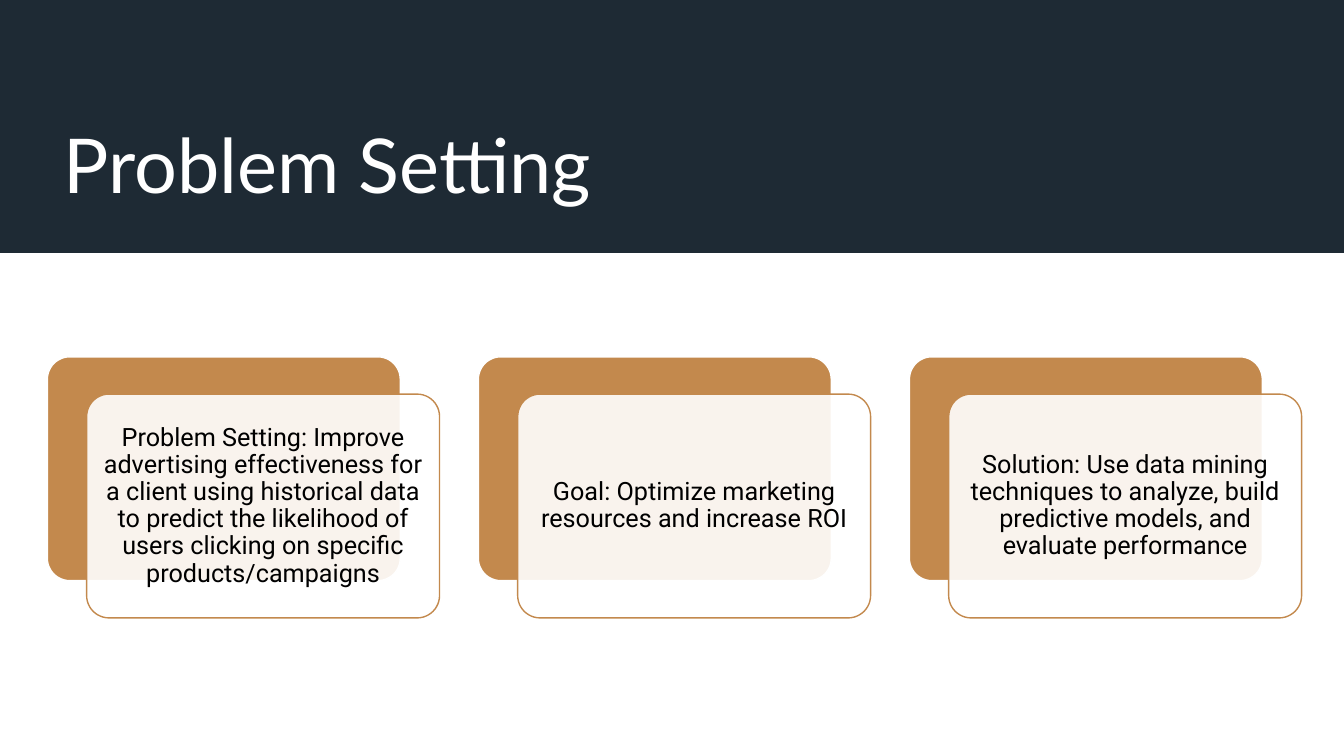
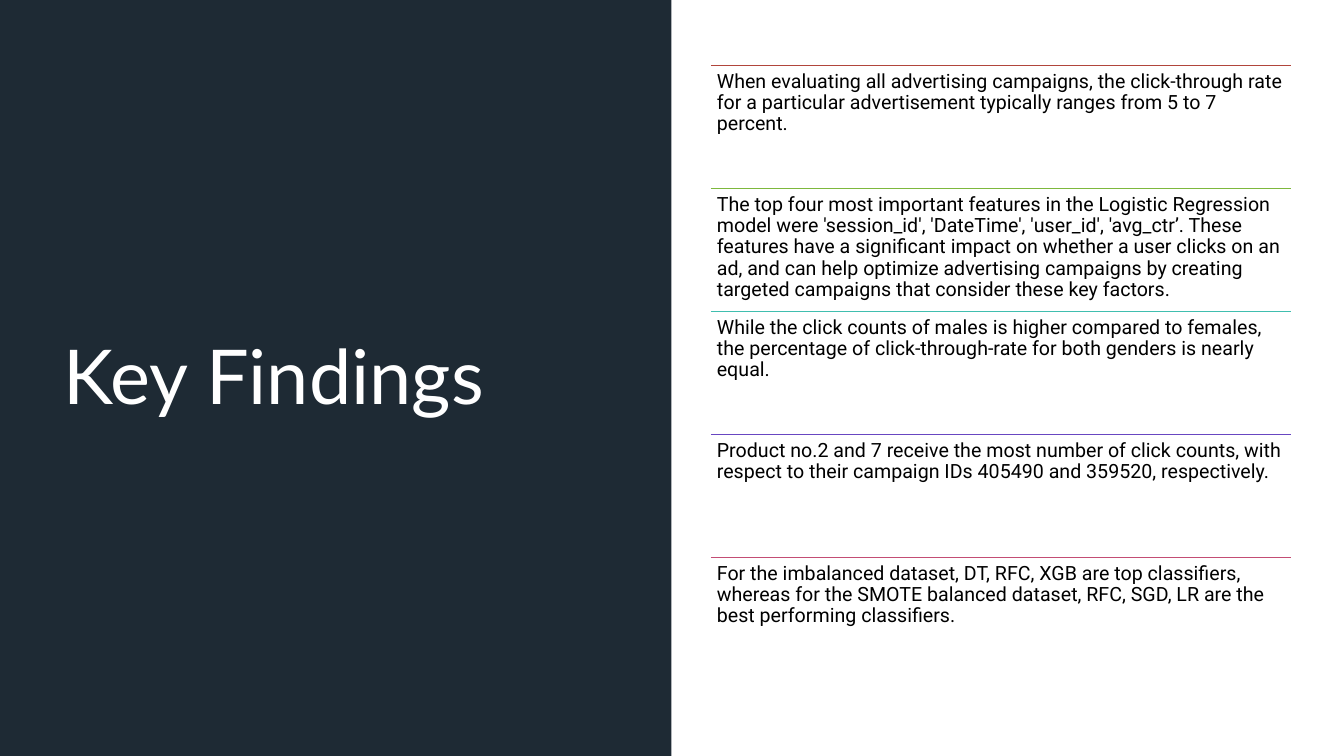
from lxml import etree
from pptx import Presentation
from pptx import util as u
from pptx.dml.color import RGBColor
from pptx.enum import shapes, text
from pptx.oxml.ns import qn

NAVY = RGBColor(0x1E, 0x2A, 0x34)
BRONZE = RGBColor(0xC3, 0x89, 0x4D)
WHITE = RGBColor(0xFF, 0xFF, 0xFF)
BLACK = RGBColor(0x00, 0x00, 0x00)
RED = RGBColor(0xB1, 0x45, 0x3B)
GREEN = RGBColor(0x7D, 0xB8, 0x3D)
TEAL = RGBColor(0x40, 0xBE, 0xAF)
VIOLET = RGBColor(0x68, 0x46, 0xC1)
ROSE = RGBColor(0xC3, 0x4D, 0x74)

WIDTH, HEIGHT = 13.33, 7.5

GOALS = [
    "Problem Setting: Improve advertising effectiveness for a client using historical data to predict "
    "the likelihood of users clicking on specific products/campaigns",
    "Goal: Optimize marketing resources and increase ROI",
    "Solution: Use data mining techniques to analyze, build predictive models, and evaluate performance",
]

FINDINGS = [
    (RED, "When evaluating all advertising campaigns, the click-through rate for a particular "
          "advertisement typically ranges from 5 to 7 percent."),
    (GREEN, "The top four most important features in the Logistic Regression model were 'session_id', "
            "'DateTime', 'user_id', 'avg_ctr’. These features have a significant impact on whether a user "
            "clicks on an ad, and can help optimize advertising campaigns by creating targeted campaigns "
            "that consider these key factors."),
    (TEAL, "While the click counts of males is higher compared to females, the percentage of "
           "click-through-rate for both genders is nearly equal."),
    (VIOLET, "Product no.2 and 7 receive the most number of click counts, with respect to their campaign "
             "IDs 405490 and 359520, respectively."),
    (ROSE, "For the imbalanced dataset, DT, RFC, XGB are top classifiers, whereas for the SMOTE balanced "
           "dataset, RFC, SGD, LR are the best performing classifiers."),
]


def inches(*lengths):
    return [u.Inches(length) for length in lengths]


class Deck:
    heading = {"name": "Lato", "size": u.Pt(54)}
    body = {"name": "Roboto"}

    def __init__(self):
        self.prs = Presentation()
        self.prs.slide_width, self.prs.slide_height = inches(WIDTH, HEIGHT)
        self.slide = None

    def new_slide(self, heading, panel_size, title_box, anchor):
        self.slide = self.prs.slides.add_slide(self.prs.slide_layouts[5])
        self.block(shapes.MSO_SHAPE.RECTANGLE, (0, 0, *panel_size), NAVY)
        title = self.slide.shapes.title
        title.left, title.top, title.width, title.height = inches(*title_box)
        self.slide.shapes._spTree.append(title._element)
        self.set_words(title.text_frame, heading, self.heading, WHITE, anchor)

    def set_words(self, frame, words, style, color, anchor, align=text.PP_ALIGN.LEFT, inset=None, spacing=1.0):
        settings = {"word_wrap": True, "auto_size": text.MSO_AUTO_SIZE.NONE, "vertical_anchor": anchor}
        if inset is not None:
            settings.update({f"margin_{side}": u.Inches(inset) for side in ("left", "top", "right", "bottom")})
        for key, value in settings.items():
            setattr(frame, key, value)
        paragraph = frame.paragraphs[0]
        paragraph.alignment = align
        paragraph.line_spacing = spacing
        run = paragraph.add_run()
        run.text = words
        for key, value in style.items():
            setattr(run.font, key, value)
        run.font.color.rgb = color

    def block(self, kind, box, fill, outline=None, opacity=None):
        block = self.slide.shapes.add_shape(kind, *inches(*box))
        block.shadow.inherit = False
        block.fill.solid()
        block.fill.fore_color.rgb = fill
        if opacity is not None:
            solid = block._element.spPr.find(qn("a:solidFill"))
            etree.SubElement(solid[0], qn("a:alpha")).set("val", str(opacity * 1000))
        if outline is None:
            block.line.fill.background()
        else:
            block.line.color.rgb = outline
            block.line.width = u.Pt(1)
        return block

    def card(self, left, top, words):
        width, height = 3.5, 2.22
        rounded = shapes.MSO_SHAPE.ROUNDED_RECTANGLE
        back = self.block(rounded, (left, top, width, height), BRONZE, WHITE)
        front = self.block(rounded, (left + 0.39, top + 0.37, width, height), WHITE, BRONZE, 90)
        for layer in (back, front):
            layer.adjustments[0] = 0.1
        self.set_words(front.text_frame, words, {**self.body, "size": u.Pt(18)}, BLACK,
                       text.MSO_ANCHOR.MIDDLE, text.PP_ALIGN.CENTER, 0.07, 0.9)

    def finding(self, left, top, width, height, color, words):
        rule = self.slide.shapes.add_connector(
            shapes.MSO_CONNECTOR.STRAIGHT, *inches(left, top, left + width, top))
        rule.line.color.rgb = color
        rule.line.width = u.Pt(1)
        etree.SubElement(rule._element.spPr, qn("a:effectLst"))
        entry = self.slide.shapes.add_textbox(*inches(left, top, width, height))
        self.set_words(entry.text_frame, words, {**self.body, "size": u.Pt(14)}, BLACK,
                       text.MSO_ANCHOR.TOP, inset=0.06, spacing=0.9)


def main():
    deck = Deck()

    deck.new_slide("Problem Setting", (WIDTH, 2.51), (0.53, 0.4, 11.89, 1.72), text.MSO_ANCHOR.BOTTOM)
    first_card, last_card = 0.47, 9.02
    card_pitch = (last_card - first_card) / (len(GOALS) - 1)
    for index, goal in enumerate(GOALS):
        deck.card(first_card + index * card_pitch, 3.54, goal)

    deck.new_slide("Key Findings", (6.66, HEIGHT), (0.53, 0.53, 5.55, 6.36), text.MSO_ANCHOR.MIDDLE)
    row_height = 1.22
    for index, (color, words) in enumerate(FINDINGS):
        deck.finding(7.05, 0.65 + index * row_height, 5.75, row_height, color, words)

    deck.prs.save("out.pptx")


if __name__ == "__main__":
    main()
